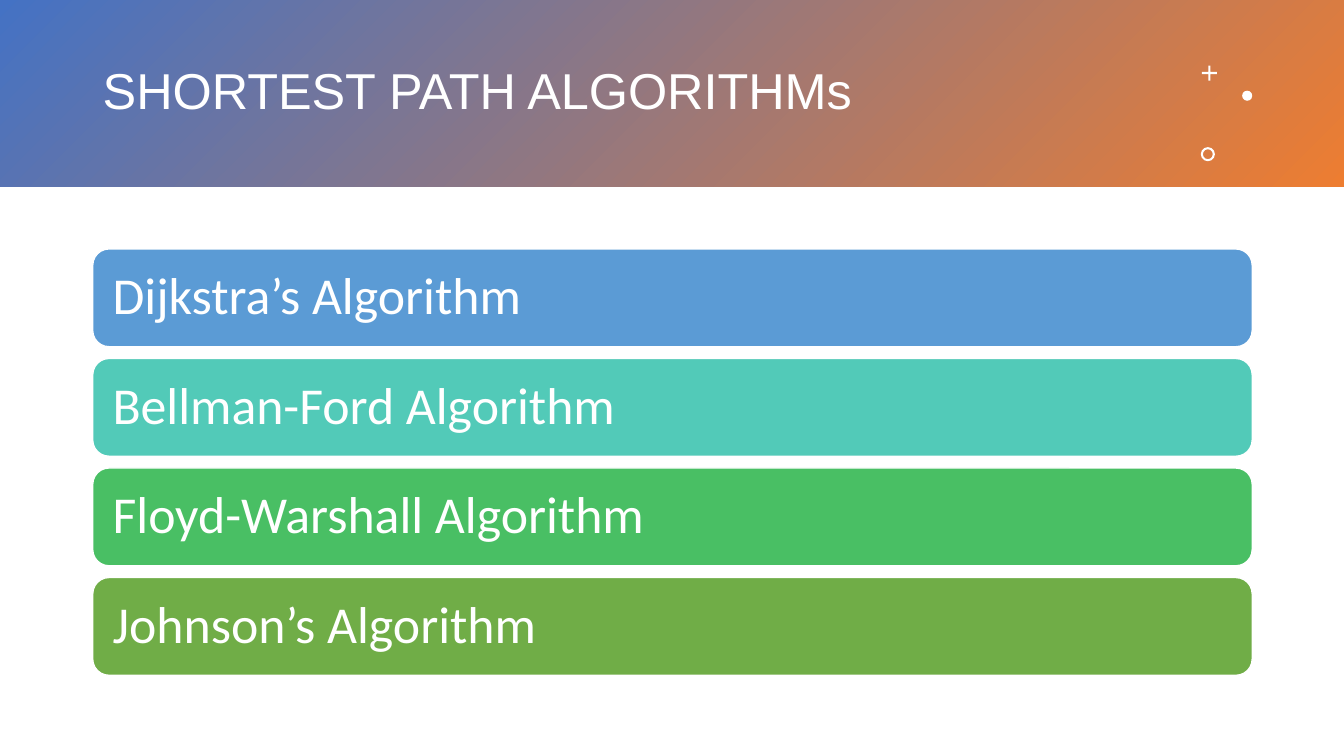
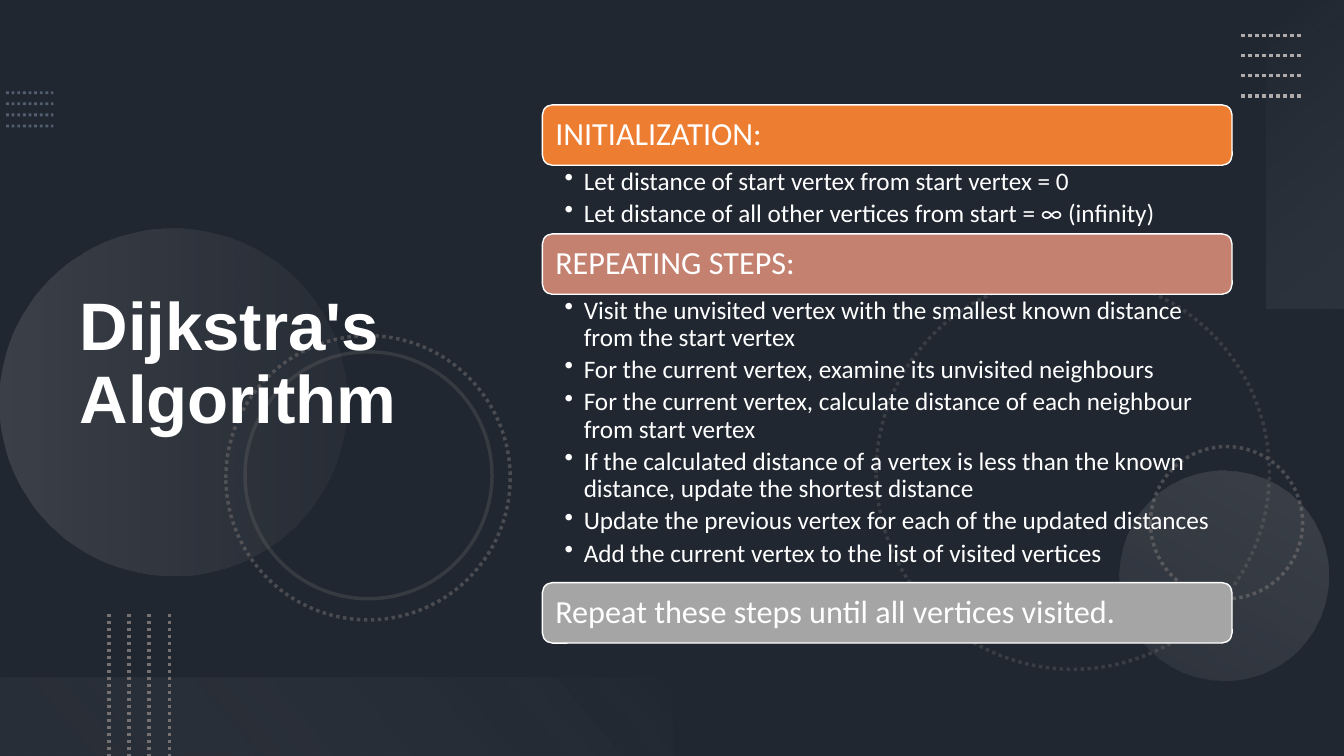
"""Build two slides on shortest path algorithms."""
from dataclasses import dataclass

from pptx import Presentation
from pptx.dml.color import RGBColor
from pptx.enum.dml import MSO_LINE
from pptx.enum.shapes import MSO_CONNECTOR, MSO_SHAPE
from pptx.enum.text import MSO_ANCHOR
from pptx.oxml.ns import qn
from pptx.util import Inches, Pt

STRAIGHT = MSO_CONNECTOR.STRAIGHT
RECT, ROUND_RECT = MSO_SHAPE.RECTANGLE, MSO_SHAPE.ROUNDED_RECTANGLE
ELLIPSE, CROSS, DONUT = MSO_SHAPE.OVAL, MSO_SHAPE.CROSS, MSO_SHAPE.DONUT
DOTTED = MSO_LINE.ROUND_DOT
TOP, MIDDLE = MSO_ANCHOR.TOP, MSO_ANCHOR.MIDDLE


@dataclass(frozen=True)
class Theme:
    """Colours, fonts and type sizes of the deck."""
    width: float = 13.33
    height: float = 7.5
    white: str = "FFFFFF"
    black: str = "000000"
    night: str = "44546A"
    blue: str = "4472C4"
    orange: str = "ED7D31"
    rose: str = "C48170"
    silver: str = "A5A5A5"
    mist: str = "8497B0"
    pale: str = "F5F5F5"
    light_grey: str = "AFABAB"
    dark_grey: str = "767171"
    bars: tuple = ("5B9BD5", "52CAB8", "49BF64", "70AD47")
    title_font: str = "Arial"
    body_font: str = "Calibri"
    title_size: int = 36
    hero_size: int = 48
    bar_size: int = 37
    step_size: int = 23
    bullet_size: int = 18


T = Theme()
ALGORITHMS = ("Dijkstra’s Algorithm", "Bellman-Ford Algorithm",
              "Floyd-Warshall Algorithm", "Johnson’s Algorithm")
STEPS = (
    ("INITIALIZATION:", T.orange, 0.68, (
        "Let distance of start vertex from start vertex = 0",
        "Let distance of all other vertices from start = ∞ (infinity)")),
    ("REPEATING STEPS:", T.rose, 2.86, (
        "Visit the unvisited vertex with the smallest known distance from the start vertex",
        "For the current vertex, examine its unvisited neighbours",
        "For the current vertex, calculate distance of each neighbour from start vertex",
        "If the calculated distance of a vertex is less than the known distance, "
        "update the shortest distance",
        "Update the previous vertex for each of the updated distances",
        "Add the current vertex to the list of visited vertices")),
    ("Repeat these steps until all vertices visited.", T.silver, 0, ()),
)


def rgb(value):
    """Turn a hex string into a colour."""
    return RGBColor.from_string(value)


def set_attrs(obj, values):
    """Set each attribute named in a dict."""
    for name, value in values.items():
        setattr(obj, name, value)


def set_alpha(sp, *percents):
    """Give the shape's colours, in order, their opacity."""
    colours = sp._element.spPr.iter(qn("a:srgbClr"))
    for colour, percent in zip(list(colours), percents):
        alpha = colour.makeelement(qn("a:alpha"), {"val": str(percent * 1000)})
        colour.append(alpha)


def set_line(line, colour, width, dash=None):
    """Style an outline or a connector."""
    line.color.rgb = rgb(colour)
    set_attrs(line, {"width": Pt(width), "dash_style": dash})


def add_shape(s, kind, box, fill=None, rotation=0):
    """Add a preset shape with a plain fill or none, and no outline."""
    sp = s.shapes.add_shape(kind, *map(Inches, box))
    sp.shadow.inherit = False
    sp.rotation = rotation
    sp.line.fill.background()
    if fill:
        sp.fill.solid()
        sp.fill.fore_color.rgb = rgb(fill)
    else:
        sp.fill.background()
    return sp


def add_gradient(s, kind, box, colours, angle, rotation=0, alphas=(), start=0):
    """Add a preset shape with a two-colour gradient, angle clockwise."""
    sp = add_shape(s, kind, box, rotation=rotation)
    sp.fill.gradient()
    sp.fill.gradient_angle = 360 - angle
    for stop, colour, position in zip(sp.fill.gradient_stops, colours, (start, 1)):
        stop.color.rgb = rgb(colour)
        stop.position = position
    set_alpha(sp, *alphas)


def add_ring(s, x, y, size, alpha, dash=None):
    """Add a translucent circle outline."""
    sp = add_shape(s, ELLIPSE, (x, y, size, size))
    set_line(sp.line, T.dark_grey, 2.5, dash)
    set_alpha(sp, alpha)


def add_dot_lines(s, start, length, step, colour, width=2.5, alpha=100):
    """Add four parallel dotted lines, each moved on by one step."""
    for i in range(4):
        x, y = (a + i * d for a, d in zip(start, step))
        ends = (x, y, x + length[0], y + length[1])
        cxn = s.shapes.add_connector(STRAIGHT, *map(Inches, ends))
        set_line(cxn.line, colour, width, DOTTED)
        set_alpha(cxn, alpha)
        spPr = cxn._element.spPr
        spPr.append(spPr.makeelement(qn("a:effectLst"), {}))


def add_bullet(p):
    """Give a paragraph a hanging bullet."""
    pPr = p._p.get_or_add_pPr()
    indent = Inches(0.19)
    pPr.set("marL", str(indent))
    pPr.set("indent", str(-indent))
    pPr.append(pPr.makeelement(qn("a:buChar"), {"char": "•"}))


def write(sp, texts, size, font=T.body_font, bold=False, anchor=MIDDLE,
          insets=(0.1, 0.05, 0.1, 0.05), bullets=False):
    """Fill a shape with white left-aligned paragraphs."""
    tf = sp.text_frame
    sides = ("margin_left", "margin_top", "margin_right", "margin_bottom")
    set_attrs(tf, dict(zip(sides, map(Inches, insets))))
    set_attrs(tf, {"word_wrap": True, "vertical_anchor": anchor})
    for i, text in enumerate(texts):
        p = tf.add_paragraph() if i else tf.paragraphs[0]
        set_attrs(p, {"line_spacing": 0.9, "alignment": 1})
        if bullets:
            p.space_after = Pt(3.6)
            add_bullet(p)
        r = p.add_run()
        r.text = text
        set_attrs(r.font, {"name": font, "size": Pt(size), "bold": bold})
        r.font.color.rgb = rgb(T.white)


def add_title(s, text, box, size, bold=False):
    """Add the slide title."""
    sp = s.shapes.add_textbox(*map(Inches, box))
    write(sp, [text], size, T.title_font, bold)


def add_bar(s, text, box, fill, size, inset):
    """Add a rounded bar with a label."""
    sp = add_shape(s, ROUND_RECT, box, fill)
    set_line(sp.line, T.white, 1)
    write(sp, [text], size, insets=(inset,) * 4)


def add_slide(prs, background):
    """Add a blank slide with a plain background."""
    s = prs.slides.add_slide(prs.slide_layouts[6])
    s.background.fill.solid()
    s.background.fill.fore_color.rgb = rgb(background)
    return s


def build_overview(prs):
    """Build the list of algorithms."""
    s = add_slide(prs, T.white)
    add_gradient(s, RECT, (0, 0, T.width, 1.85), (T.blue, T.orange), 45)
    add_title(s, "SHORTEST PATH ALGORITHMs", (0.92, 0.33, 10.75, 1.19), T.title_size)
    plus = add_shape(s, CROSS, (11.92, 0.65, 0.15, 0.15), T.white)
    plus.adjustments[0] = 0.43
    add_shape(s, ELLIPSE, (12.32, 0.9, 0.1, 0.1), T.white)
    ring = add_shape(s, DONUT, (11.91, 1.46, 0.14, 0.14), T.white)
    ring.adjustments[0] = 0.15
    top, bottom, height = 2.47, 6.7, 0.97
    pitch = (bottom - height - top) / (len(ALGORITHMS) - 1)
    for i, (text, fill) in enumerate(zip(ALGORITHMS, T.bars)):
        add_bar(s, text, (0.92, top + i * pitch, 11.5, height), fill, T.bar_size, 0.15)


def add_backdrop(s):
    """Add the dark overlay, circles, panels and dotted lines."""
    set_alpha(add_shape(s, RECT, (0, 0, T.width, T.height), T.black), 53)
    add_dot_lines(s, (0.06, 0.92), (0.47, 0), (0, 0.11), T.mist, 2, 50)
    add_ring(s, 8.69, 2.74, 3.9, 30, DOTTED)
    add_ring(s, 11.41, 4.43, 1.51, 50, DOTTED)
    add_gradient(s, ELLIPSE, (0, 2.27, 3.44, 3.44), (T.light_grey, T.dark_grey),
                 90, 270, (20, 10))
    add_gradient(s, ELLIPSE, (11.1, 4.67, 2.08, 2.08), (T.light_grey, T.light_grey),
                 90, 210, (10, 20))
    add_ring(s, 2.24, 3.33, 2.82, 50, DOTTED)
    add_ring(s, 2.43, 3.49, 2.45, 25)
    add_gradient(s, RECT, (11.42, 1.14, 3.06, 0.78), (T.pale, T.light_grey),
                 140, 270, (0, 10))
    add_dot_lines(s, (12.31, 0.35), (0.6, 0), (0, 0.2), T.light_grey)
    add_gradient(s, RECT, (0, 6.72, 6.67, 0.78), (T.dark_grey, T.pale),
                 140, 180, (10, 0), 0.1)
    add_dot_lines(s, (1.08, 6.09), (0, 1.41), (0.2, 0), T.dark_grey)


def build_dijkstra(prs):
    """Build the steps of Dijkstra's algorithm."""
    s = add_slide(prs, T.night)
    add_backdrop(s)
    add_title(s, "Dijkstra's Algorithm", (0.69, 0.54, 4.59, 6.17), T.hero_size, True)
    left, top, width, bar_height = 5.38, 1.04, 6.84, 0.6
    for heading, fill, body_height, bullets in STEPS:
        add_bar(s, heading, (left, top, width, bar_height), fill, T.step_size, 0.1)
        top += bar_height
        if bullets:
            box = (left, top, width, body_height)
            sp = s.shapes.add_textbox(*map(Inches, box))
            write(sp, bullets, T.bullet_size, anchor=TOP,
                  insets=(0.22, 0.03, 0.18, 0.03), bullets=True)
        top += body_height


def main():
    """Build and save the deck."""
    prs = Presentation()
    set_attrs(prs, {"slide_width": Inches(T.width), "slide_height": Inches(T.height)})
    build_overview(prs)
    build_dijkstra(prs)
    prs.save("out.pptx")


if __name__ == "__main__":
    main()
